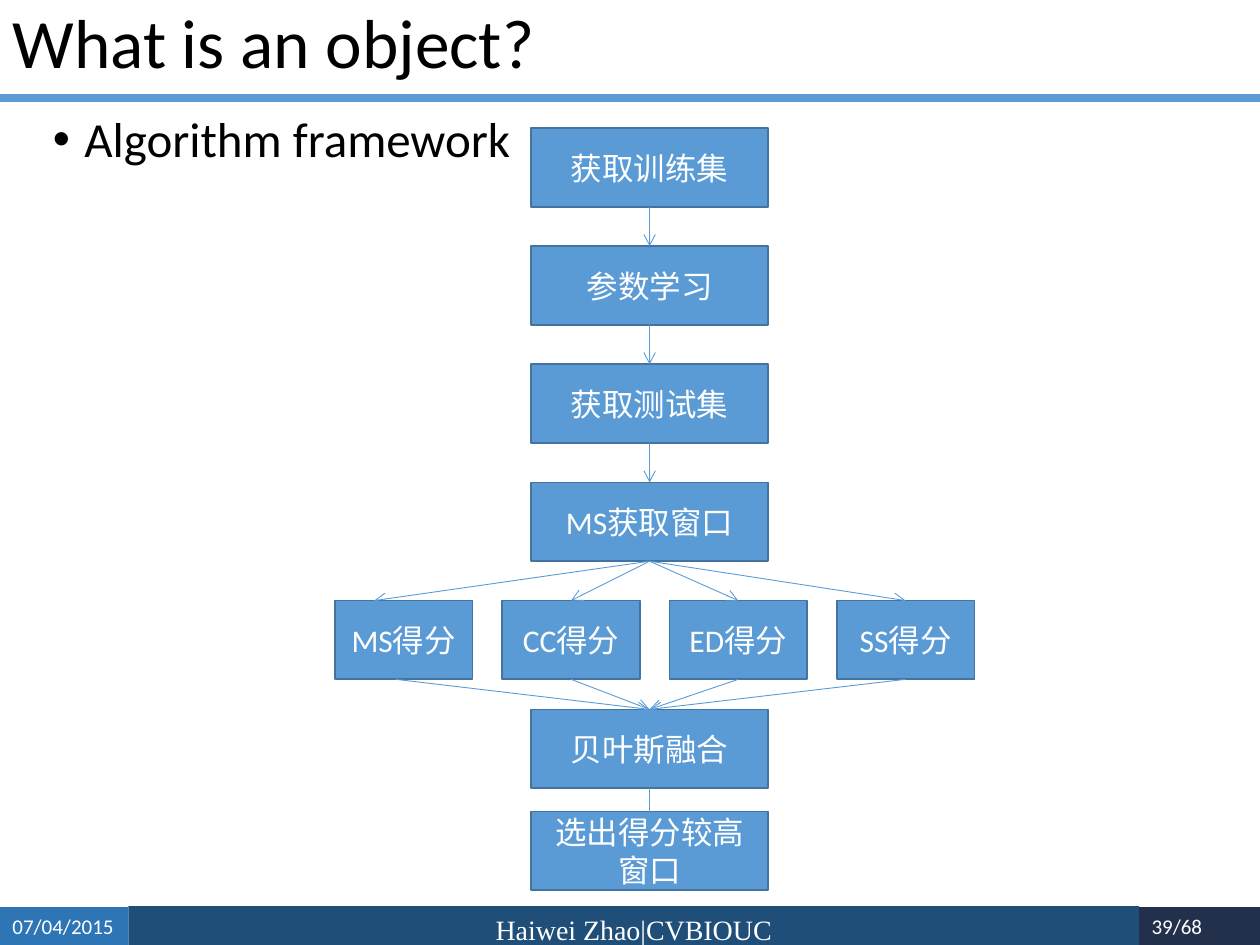
from dataclasses import dataclass

from lxml import etree
from pptx import Presentation
from pptx import util as u
from pptx.dml.color import RGBColor
from pptx.enum import shapes, text
from pptx.oxml.ns import qn

# Content
TITLE = "What is an object?"
TOPIC = "Algorithm framework"
STAGES = ["获取训练集", "参数学习", "获取测试集", "MS获取窗口"]
SCORES = ["MS得分", "CC得分", "ED得分", "SS得分"]
FUSION = "贝叶斯融合"
RESULT = "选出得分较高窗口"
DATE, AUTHOR, PAGE_NUMBER = "07/04/2015", "Haiwei Zhao|CVBIOUC", "39/68"


@dataclass(frozen=True)
class Theme:
    font: str = "Calibri"
    footer_font: str = "Times New Roman"
    ink: str = "000000"
    paper: str = "FFFFFF"
    accent: str = "5B9BD5"
    edge: str = "43739E"
    date_bar: str = "2E75B6"
    author_bar: str = "1F4E79"
    number_bar: str = "22304B"
    title_size: float = 39.6
    body_size: float = 28
    step_size: float = 18
    author_size: float = 16
    small_size: float = 12


THEME = Theme()
LEFT, CENTER, RIGHT = text.PP_ALIGN.LEFT, text.PP_ALIGN.CENTER, text.PP_ALIGN.RIGHT
TOP, MIDDLE = text.MSO_ANCHOR.TOP, text.MSO_ANCHOR.MIDDLE

# Flow geometry, in points
AXIS = 371.2
STEP_WIDTH, STEP_HEIGHT, STEP_PITCH = 135.4, 45, 67.5
FIRST_TOP = 73.2
SCORE_LEFT, SCORE_WIDTH, SCORE_PITCH = 191.4, 78.6, 95.6
SCORE_TOP = FIRST_TOP + len(STAGES) * STEP_PITCH
FUSION_TOP, RESULT_TOP = 405.4, 463.7


def color(value):
    return RGBColor.from_string(value)


def place(box, left, top, width, height):
    box.left, box.top = u.Pt(left), u.Pt(top)
    box.width, box.height = u.Pt(width), u.Pt(height)


def write(box, words, *, size, ink=THEME.paper, font=THEME.font,
          align=LEFT, anchor=TOP, spacing=1.0):
    frame = box.text_frame
    frame.word_wrap = True
    frame.auto_size = text.MSO_AUTO_SIZE.NONE
    frame.vertical_anchor = anchor
    para = frame.paragraphs[0]
    para.alignment, para.line_spacing, para.space_before = align, spacing, u.Pt(0)
    span = para.add_run()
    span.text = words
    span.font.name, span.font.size = font, u.Pt(size)
    span.font.color.rgb = color(ink)
    return para


def add_box(page, bounds, fill, edge=None, kind=shapes.MSO_SHAPE.RECTANGLE):
    box = page.shapes.add_shape(kind, *map(u.Pt, bounds))
    box.shadow.inherit = False
    box.fill.solid()
    box.fill.fore_color.rgb = color(fill)
    if edge:
        box.line.color.rgb = color(edge)
        box.line.width = u.Pt(1)
    else:
        box.line.fill.background()
    return box


def add_step(page, words, left, top, width):
    box = add_box(page, (left, top, width, STEP_HEIGHT), THEME.accent, THEME.edge,
                  shapes.MSO_SHAPE.FLOWCHART_PROCESS)
    write(box, words, size=THEME.step_size, align=CENTER, anchor=MIDDLE)


def add_line(page, start, end, weight=0.5, arrow=True):
    line = page.shapes.add_connector(shapes.MSO_CONNECTOR.STRAIGHT,
                                     *map(u.Pt, (*start, *end)))
    line.line.color.rgb = color(THEME.accent)
    line.line.width = u.Pt(weight)
    properties = line._element.spPr
    if arrow:
        etree.SubElement(properties.find(qn("a:ln")), qn("a:tailEnd"), type="arrow")
    etree.SubElement(properties, qn("a:effectLst"))


def add_footer(page):
    number_bar = (651, 518.4, 69, 21.6)
    add_box(page, number_bar, THEME.number_bar)
    author = add_box(page, (73.4, 517.8, 577.6, 26.6), THEME.author_bar)
    write(author, AUTHOR, size=THEME.author_size, font=THEME.footer_font, align=CENTER)
    date = add_box(page, (0, 518.4, 73.4, 21.6), THEME.date_bar)
    write(date, DATE, size=THEME.small_size)
    number = page.shapes.add_textbox(*map(u.Pt, (640.8, 518.4, 53.3, 21.6)))
    write(number, PAGE_NUMBER, size=THEME.small_size, align=RIGHT)


def add_heading(page):
    title, body = page.placeholders
    place(title, 0, 0, 659.5, 52.6)
    title.fill.solid()
    title.fill.fore_color.rgb = color(THEME.paper)
    write(title, TITLE, size=THEME.title_size, ink=THEME.ink, anchor=MIDDLE, spacing=0.9)
    add_line(page, (0, 56.2), (720, 56.2), weight=4.5, arrow=False)

    place(body, 23, 61.9, 670.3, 424)
    para = write(body, TOPIC, size=THEME.body_size, ink=THEME.ink, spacing=0.9)
    properties = para._p.get_or_add_pPr()
    properties.set("marL", str(u.Pt(18)))
    properties.set("indent", str(u.Pt(-18)))
    etree.SubElement(properties, qn("a:buFont"), typeface="Arial")
    etree.SubElement(properties, qn("a:buChar"), char="•")


def add_flow(page):
    # Main column
    tops = [FIRST_TOP + row * STEP_PITCH for row in range(len(STAGES))]
    column = list(zip(STAGES + [FUSION, RESULT], tops + [FUSION_TOP, RESULT_TOP]))
    for words, top in column:
        add_step(page, words, AXIS - STEP_WIDTH / 2, top, STEP_WIDTH)
    for upper, lower in zip(tops, tops[1:]):
        add_line(page, (AXIS, upper + STEP_HEIGHT), (AXIS, lower))
    add_line(page, (AXIS, FUSION_TOP + STEP_HEIGHT), (AXIS, RESULT_TOP + 8.6))

    # Score row, with arrows fanning out and back in
    for index, words in enumerate(SCORES):
        left = SCORE_LEFT + index * SCORE_PITCH
        add_step(page, words, left, SCORE_TOP, SCORE_WIDTH)
        middle = left + SCORE_WIDTH / 2
        # The outermost left arrows sit a little off the box centre
        entry, leave = (213.8, 226.1) if index == 0 else (middle, middle)
        add_line(page, (AXIS, tops[-1] + STEP_HEIGHT), (entry, SCORE_TOP))
        add_line(page, (leave, SCORE_TOP + STEP_HEIGHT), (AXIS, FUSION_TOP))


def main():
    deck = Presentation()
    deck.slide_width, deck.slide_height = u.Pt(720), u.Pt(540)
    page = deck.slides.add_slide(deck.slide_layouts[1])
    add_footer(page)
    add_heading(page)
    add_flow(page)
    deck.save("out.pptx")


if __name__ == "__main__":
    main()
